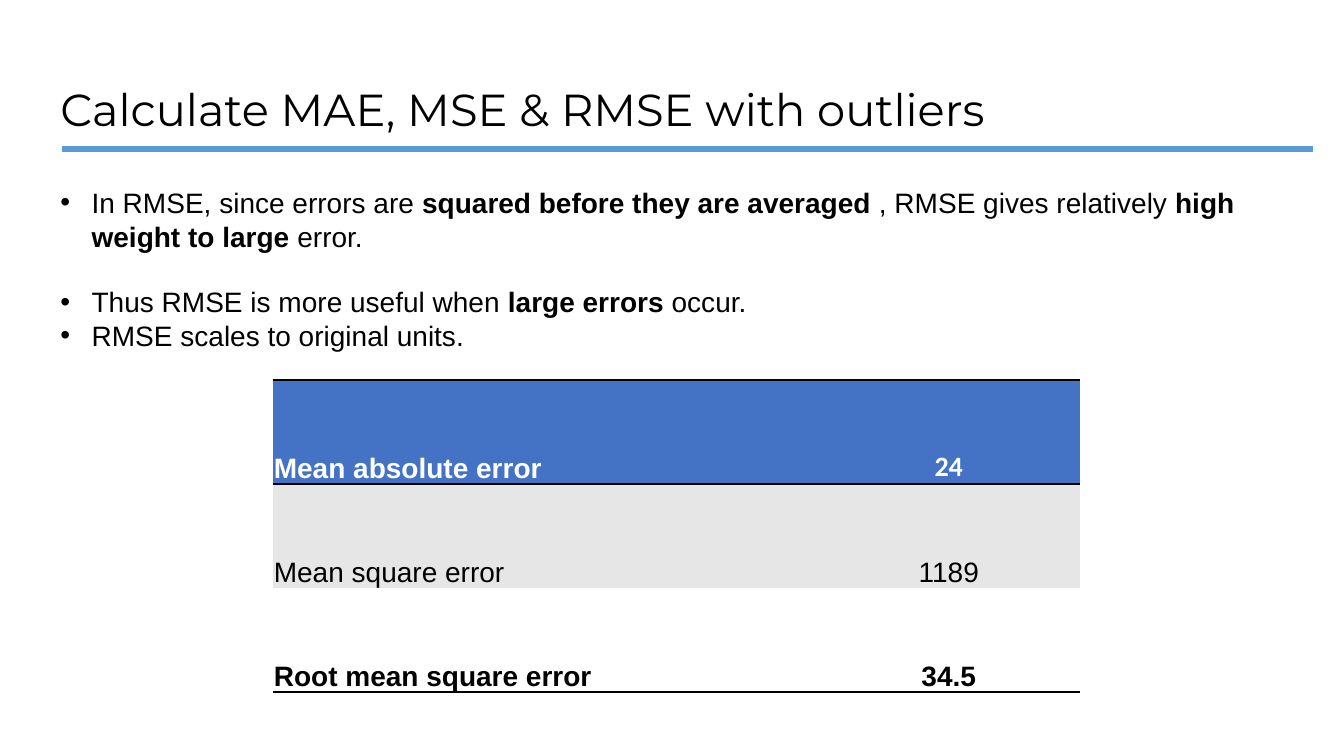
"""Build the slide on error measures with outliers."""
from lxml.etree import SubElement
from pptx import Presentation
from pptx.dml.color import RGBColor
from pptx.enum.shapes import MSO_SHAPE
from pptx.enum.text import MSO_ANCHOR, PP_ALIGN
from pptx.oxml import parse_xml
from pptx.oxml.ns import nsdecls, qn
from pptx.util import Cm, Pt

TITLE = "Calculate MAE, MSE & RMSE with outliers"
POINTS = [
    (0, [("In RMSE, since errors are ", False),
         ("squared before they are averaged", True),
         (" , RMSE gives relatively ", False),
         ("high weight to large ", True),
         ("error.", False)]),
    (23, [("Thus RMSE is more useful when ", False),
          ("large errors ", True),
          ("occur.", False)]),
    (0, [("RMSE scales to original units.", False)]),
]
ROWS = [
    ("Mean absolute error", "24", "4472C4", "FFFFFF", True, "Calibri", "TB"),
    ("Mean square error", "1189", "E6E6E6", "000000", False, "Arial", "T"),
    ("Root mean square error", "34.5", "FFFFFF", "000000", True, "Arial", "B"),
]
COLS = (13.74, 6.6)
HIGH = 2.62


def color(code):
    return RGBColor.from_string(code)


def write(para, text, size, face, code="000000", bold=False):
    run = para.add_run()
    run.text = text
    font = run.font
    font.size, font.name, font.bold = Pt(size), face, bold
    font.color.rgb = color(code)


def text_box(left, top, width, height):
    frame = slide.shapes.add_textbox(
        Cm(left), Cm(top), Cm(width), Cm(height)).text_frame
    frame.word_wrap = True
    return frame


def bullet(para):
    props = para._p.get_or_add_pPr()
    props.set("marL", str(Cm(0.79)))
    props.set("indent", str(-Cm(0.79)))
    SubElement(props, qn("a:buFont")).set("typeface", "Arial")
    SubElement(props, qn("a:buChar")).set("char", "•")


def border(cell, edges):
    props = cell._tc.get_or_add_tcPr()
    for spot, side in enumerate("LRTB"):
        fill = "<a:noFill/>"
        if side in edges:
            fill = '<a:solidFill><a:srgbClr val="000000"/></a:solidFill>'
        props.insert(spot, parse_xml(
            f'<a:ln{side} {nsdecls("a")} w="{Pt(2)}">{fill}</a:ln{side}>'))


deck = Presentation()
deck.slide_width, deck.slide_height = Cm(33.87), Cm(19.05)
slide = deck.slides.add_slide(deck.slide_layouts[6])

rule = slide.shapes.add_shape(
    MSO_SHAPE.RECTANGLE, Cm(1.55), Cm(3.66), Cm(31.55), Cm(0.18))
rule.shadow.inherit = False
rule.fill.solid()
rule.fill.fore_color.rgb = color("5B9BD5")
rule.line.color.rgb = color("FFFFFF")
rule.line.width = Pt(1)

head = text_box(1.27, 1.93, 31.17, 1.63)
write(head.paragraphs[0], TITLE, 32, "Montserrat")

grid = slide.shapes.add_table(
    len(ROWS), len(COLS), Cm(6.87), Cm(9.58),
    Cm(sum(COLS)), Cm(HIGH * len(ROWS))).table
grid.first_row = grid.horz_banding = False
for col, width in zip(grid.columns, COLS):
    col.width = Cm(width)
for row, (name, value, fill, ink, bold, face, edges) in zip(grid.rows, ROWS):
    row.height = Cm(HIGH)
    parts = ((name, "Arial", PP_ALIGN.LEFT), (value, face, PP_ALIGN.CENTER))
    for cell, (text, font, align) in zip(row.cells, parts):
        cell.fill.solid()
        cell.fill.fore_color.rgb = color(fill)
        cell.vertical_anchor = MSO_ANCHOR.BOTTOM
        cell.margin_left = cell.margin_right = cell.margin_top = Cm(0.03)
        cell.margin_bottom = 0
        border(cell, edges)
        para = cell.text_frame.paragraphs[0]
        para.alignment = align
        write(para, text, 20, font, ink, bold)

body = text_box(1.27, 4.55, 31.83, 4.52)
for spot, (gap, runs) in enumerate(POINTS):
    para = body.add_paragraph() if spot else body.paragraphs[0]
    bullet(para)
    if gap:
        para.space_before = Pt(gap)
    for text, bold in runs:
        write(para, text, 20, "Arial", bold=bold)

deck.save("out.pptx")
